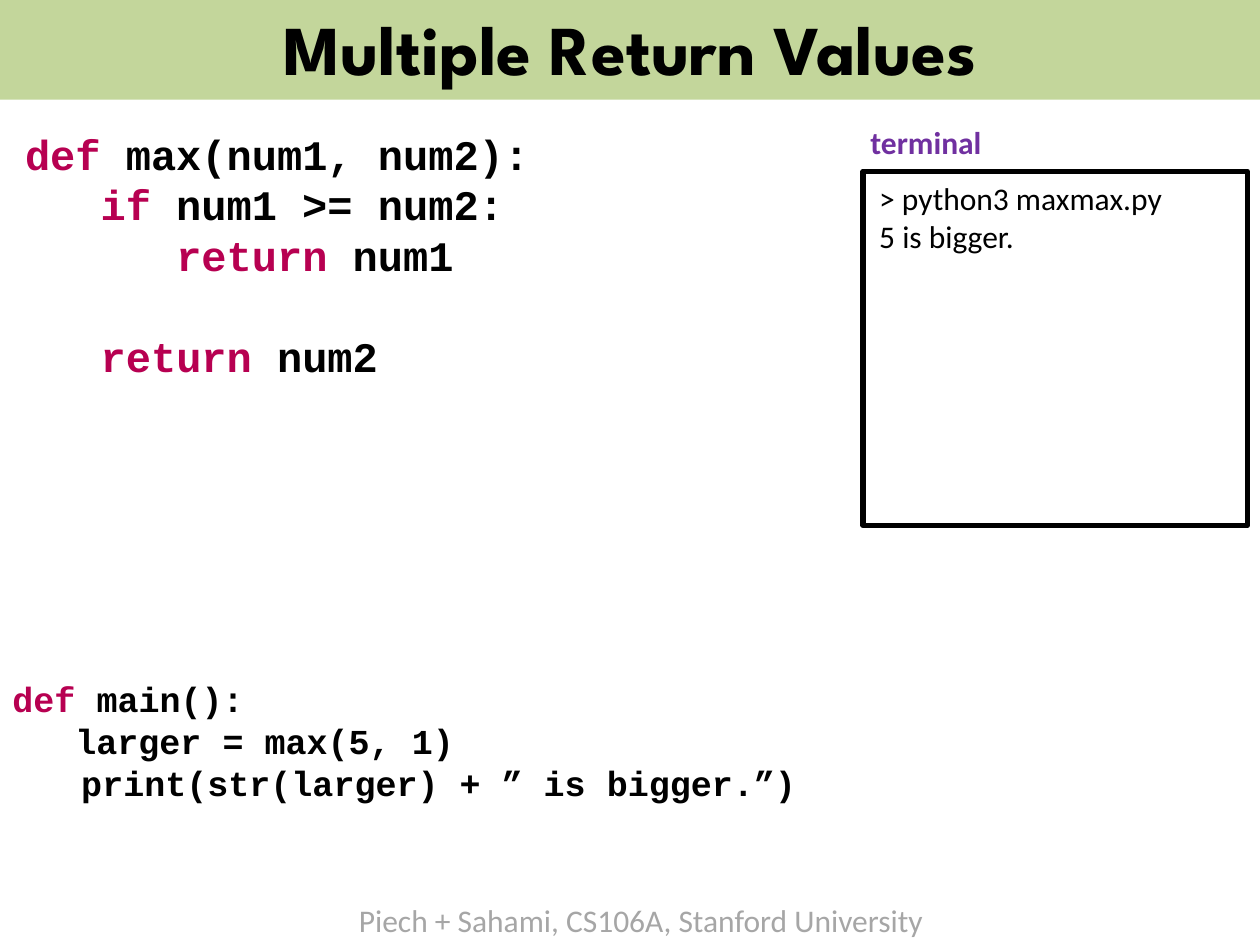
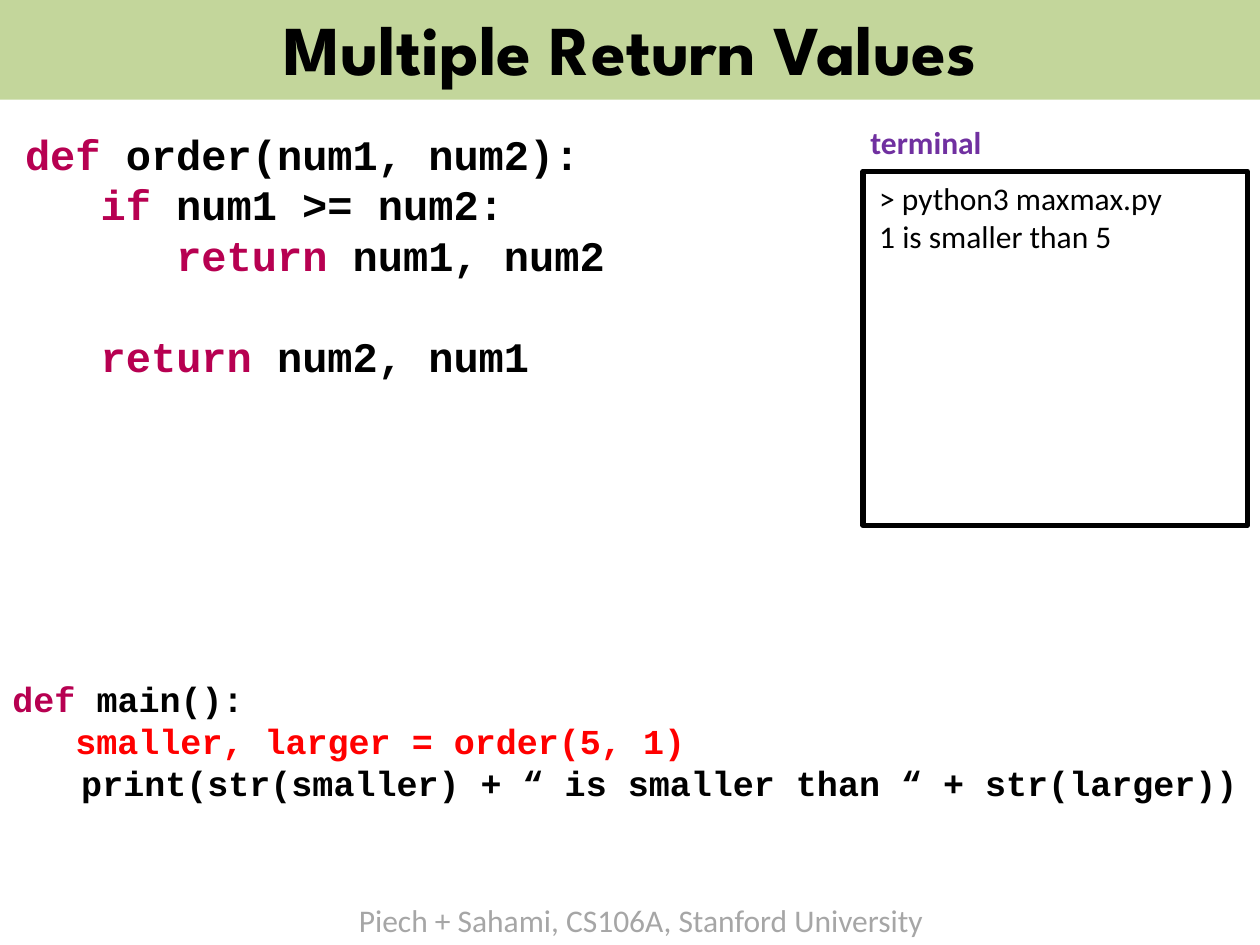
"""Build two slides comparing one and two return values in Python."""
import dataclasses

import pptx
import pptx.dml.color
import pptx.enum.shapes
import pptx.enum.text
import pptx.util

Inches = pptx.util.Inches
Pt = pptx.util.Pt


@dataclasses.dataclass(frozen=True)
class Theme:
    band: str = "C3D69B"
    ink: str = "000000"
    keyword: str = "B70051"
    highlight: str = "FF0000"
    terminal: str = "7030A0"
    footer: str = "A6A6A6"
    title_font: str = "League Spartan"
    text_font: str = "Calibri"
    code_font: str = "Courier New"
    title_size: int = 40
    function_size: int = 24
    main_size: int = 20
    text_size: int = 18
    code_leading: float = 1.2
    code_indent: float = 0.38


KEYWORDS = {"def", "if", "return"}
FOOTER = "Piech + Sahami, CS106A, Stanford University"


class Deck:
    def __init__(self, theme):
        self.theme = theme
        self.presentation = pptx.Presentation()
        self.presentation.slide_width = Inches(10)
        self.presentation.slide_height = Inches(7.5)
        self.slide = None

    def apply(self, target, values):
        for name, value in values.items():
            setattr(target, name, value)

    def place(self, shape, left, top, width, height):
        names = ("left", "top", "width", "height")
        lengths = map(Inches, (left, top, width, height))
        self.apply(shape, dict(zip(names, lengths)))

    def add_run(self, paragraph, text, font, size, color, bold=False):
        run = paragraph.add_run()
        run.text = text
        self.apply(run.font, {"name": font, "size": Pt(size), "bold": bold})
        run.font.color.rgb = pptx.dml.color.RGBColor.from_string(color)

    def add_slide(self, title):
        theme = self.theme
        layout = self.presentation.slide_layouts[5]
        self.slide = self.presentation.slides.add_slide(layout)
        self.add_text([FOOTER], (2.75, 7.1, 4.73, 0.4), theme.footer)
        band = self.slide.shapes.title
        self.place(band, 0, -0.03, 10, 0.82)
        band.fill.solid()
        band.fill.fore_color.rgb = pptx.dml.color.RGBColor.from_string(theme.band)
        self.apply(band.text_frame, {
            "auto_size": pptx.enum.text.MSO_AUTO_SIZE.NONE,
            "vertical_anchor": pptx.enum.text.MSO_ANCHOR.MIDDLE,
        })
        paragraph = band.text_frame.paragraphs[0]
        paragraph.alignment = pptx.enum.text.PP_ALIGN.CENTER
        self.add_run(paragraph, title, theme.title_font, theme.title_size, theme.ink, True)

    def add_frame(self, box, values):
        frame = self.slide.shapes.add_textbox(*map(Inches, box)).text_frame
        self.apply(frame, values)
        return frame

    def add_paragraphs(self, frame, lines):
        for index, line in enumerate(lines):
            yield line, frame.add_paragraph() if index else frame.paragraphs[0]

    def add_text(self, lines, box, color, bold=False):
        frame = self.add_frame(box, {"word_wrap": False})
        for line, paragraph in self.add_paragraphs(frame, lines):
            self.add_run(paragraph, line, self.theme.text_font, self.theme.text_size, color, bold)

    def add_code(self, lines, box, size, highlighted=None, gap_before=None):
        theme = self.theme
        frame = self.add_frame(box, {"word_wrap": True, "margin_top": Inches(0.09)})
        indent = Inches(theme.code_indent)
        leading = Pt(size * theme.code_leading)
        for line, paragraph in self.add_paragraphs(frame, lines):
            properties = paragraph._p.get_or_add_pPr()
            properties.set("marL", str(indent))
            properties.set("indent", str(-indent))
            paragraph.line_spacing = leading
            if line == gap_before:
                paragraph.space_before = leading
            code = line.lstrip(" ")
            word, space, rest = code.partition(" ")
            if word in KEYWORDS:
                start = line[:len(line) - len(code)] + word + space
                self.add_run(paragraph, start, theme.code_font, size, theme.keyword, True)
                line_end = rest
            else:
                line_end = line
            color = theme.highlight if line == highlighted else theme.ink
            self.add_run(paragraph, line_end, theme.code_font, size, color, True)

    def add_terminal(self, lines):
        rectangle = pptx.enum.shapes.MSO_SHAPE.RECTANGLE
        screen = self.slide.shapes.add_shape(rectangle, *map(Inches, (6.85, 1.36, 3.05, 2.81)))
        screen.shadow.inherit = False
        screen.fill.background()
        screen.line.color.rgb = pptx.dml.color.RGBColor.from_string(self.theme.ink)
        screen.line.width = Pt(3)
        self.add_text(["terminal"], (6.81, 0.93, 1.09, 0.4), self.theme.terminal, True)
        self.add_text(lines, (6.88, 1.37, 2.47, 0.71), self.theme.ink)


def add_return_slide(deck, name, results, width, main_lines, output, highlighted=None):
    last_return = f"   return {results[1]}"
    deck.add_slide("Multiple Return Values")
    function_lines = [
        f"def {name}(num1, num2):",
        "   if num1 >= num2:",
        f"      return {results[0]}",
        last_return,
    ]
    deck.add_code(function_lines, (0.1, 0.93, width, 2.53),
                  deck.theme.function_size, gap_before=last_return)
    deck.add_code(["def main():", *main_lines], (0, 5.29, 10, 1.28),
                  deck.theme.main_size, highlighted)
    deck.add_terminal(["> python3 maxmax.py", output])


def main():
    deck = Deck(Theme())
    add_return_slide(
        deck, "max", ("num1", "num2"), 4.42,
        ["   larger = max(5, 1)", "\t print(str(larger) + ” is bigger.”)"],
        "5 is bigger.",
    )
    order_call = "   smaller, larger = order(5, 1)"
    add_return_slide(
        deck, "order", ("num1, num2", "num2, num1"), 5.38,
        [order_call, "\t print(str(smaller) + “ is smaller than “ + str(larger))"],
        "1 is smaller than 5", order_call,
    )
    deck.presentation.save("out.pptx")


if __name__ == "__main__":
    main()
